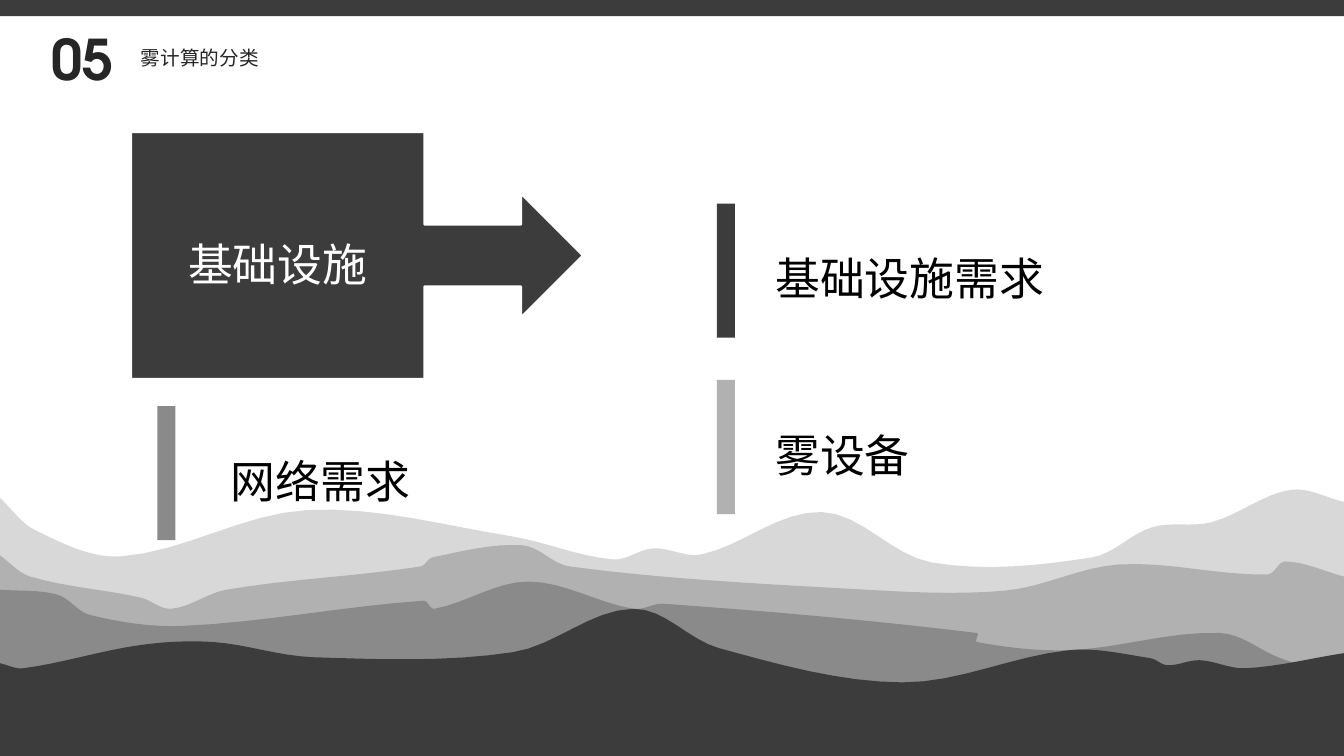
from math import dist

from pptx import Presentation
from pptx.dml.color import RGBColor
from pptx.enum.shapes import MSO_SHAPE as Preset
from pptx.enum.text import MSO_ANCHOR as Anchor, MSO_AUTO_SIZE as AutoSize, PP_ALIGN as Align
from pptx.oxml.ns import qn
from pptx.util import Inches, Pt

WIDTH, HEIGHT = 13.33, 7.5
CURVE_STEPS = 8
CJK_FONT = "Noto Sans CJK SC"
TITLE_FONT = "TeX Gyre Adventor"
COLORS = {
    "charcoal": "3C3C3C", "gray": "8A8A8A", "silver": "B1B1B1", "mist": "D8D8D8",
    "white": "FFFFFF", "black": "000000", "title": "262626",
}
RIDGES = {
    "mist": [
        (0, 4.94), (0.35, 5.26), (1.2, 5.52), (3.05, 5.06), (5.07, 5.32), (6.08, 5.55),
        (6.48, 5.44), (6.96, 5.5), (8.15, 5.08), (9.24, 5.58), (10.83, 5.53),
        (11.43, 5.23), (12.02, 5.18), (12.8, 4.86), (WIDTH, 4.98),
    ],
    "silver": [
        (0, 5.51), (0.3, 5.72), (1.4, 5.93), (1.7, 6.04), (2.25, 5.85), (4.17, 5.62),
        (4.29, 5.53), (5.18, 5.41), (5.65, 5.62), (8.4, 5.84), (9.97, 5.86),
        (11.1, 5.6), (12.57, 5.7), (12.75, 5.57), (WIDTH, 5.72),
    ],
    "gray": [
        (0, 5.85), (0.57, 5.9), (0.89, 6.1), (1.81, 6.21), (4.2, 5.96), (4.31, 6.04),
        (5.24, 5.77), (6.28, 6.04), (6.58, 5.99), (9.69, 6.28), (9.69, 6.37),
        (10.61, 6.45), (12.1, 6.28), (12.7, 6.53), (WIDTH, 6.73),
    ],
    "charcoal": [
        (0, 6.58), (0.23, 6.63), (1.39, 6.4), (2.12, 6.37), (3.1, 6.52), (5.09, 6.47),
        (6.28, 6.04), (7.13, 6.43), (8.95, 6.77), (10.61, 6.45), (11.41, 6.53),
        (11.58, 6.6), (11.9, 6.55), (12.35, 6.63), (WIDTH, 6.48),
    ],
}


def rgb(color):
    return RGBColor.from_string(COLORS[color])


def smooth(knots):
    padded = [knots[0], *knots, knots[-1]]
    curve = [knots[0]]
    for before, start, end, after in zip(padded, padded[1:], padded[2:], padded[3:]):
        reach = dist(start, end) / 3
        leave = reach / dist(before, end)
        arrive = reach / dist(start, after)
        first = [s + (e - b) * leave for b, s, e in zip(before, start, end)]
        second = [e - (a - s) * arrive for s, e, a in zip(start, end, after)]
        for step in range(1, CURVE_STEPS + 1):
            t = step / CURVE_STEPS
            u = 1 - t
            curve.append(tuple(
                u**3 * s + 3 * u * u * t * f + 3 * u * t * t * g + t**3 * e
                for s, f, g, e in zip(start, first, second, end)
            ))
    return curve


def paint(shape, color):
    shape.shadow.inherit = False
    shape.fill.solid()
    shape.fill.fore_color.rgb = rgb(color)
    shape.line.fill.background()


def add_ridge(slide, color, knots):
    outline = smooth(knots) + [(WIDTH, HEIGHT), (0, HEIGHT)]
    points = [(Inches(x), Inches(y)) for x, y in outline]
    builder = slide.shapes.build_freeform(*points[0])
    builder.add_line_segments(points[1:], close=True)
    paint(builder.convert_to_shape(), color)


def add_block(slide, preset, box, color):
    shape = slide.shapes.add_shape(preset, *map(Inches, box))
    paint(shape, color)
    return shape


def write(shape, text, size, color, font=CJK_FONT, spacing=1.3, bold=False, align=Align.LEFT):
    paragraph = shape.text_frame.paragraphs[0]
    paragraph.alignment = align
    paragraph.line_spacing = spacing
    run = paragraph.add_run()
    run.text = text
    run.font.size = Pt(size)
    run.font.bold = bold
    run.font.color.rgb = rgb(color)
    run.font.name = font
    east_asian = run.font._element.makeelement(qn("a:ea"), {"typeface": CJK_FONT})
    run.font._element.append(east_asian)


def add_text(slide, box, text, size, color, anchor=Anchor.TOP, **style):
    shape = slide.shapes.add_textbox(*map(Inches, box))
    shape.text_frame.word_wrap = True
    shape.text_frame.vertical_anchor = anchor
    write(shape, text, size, color, **style)
    return shape


def add_item(slide, bar_left, top, text_left, text, color):
    add_block(slide, Preset.RECTANGLE, (bar_left, top, 0.18, 1.33), color)
    label = add_text(slide, (text_left, top + 0.26, 3.58, 0.8), text, 32, "black")
    label.text_frame.auto_size = AutoSize.SHAPE_TO_FIT_TEXT


def add_callout(slide, box, text):
    callout = add_block(slide, Preset.RIGHT_ARROW_CALLOUT, box, "charcoal")
    callout.line.color.rgb = rgb("white")
    callout.line.width = Pt(1.5)
    callout.text_frame.vertical_anchor = Anchor.MIDDLE
    write(callout, text, 32, "white", align=Align.CENTER)


def main():
    presentation = Presentation()
    presentation.slide_width = Inches(WIDTH)
    presentation.slide_height = Inches(HEIGHT)
    slide = presentation.slides.add_slide(presentation.slide_layouts[6])

    for color, knots in RIDGES.items():
        add_ridge(slide, color, knots)
    add_block(slide, Preset.RECTANGLE, (0, 0, WIDTH, 0.16), "charcoal")

    add_item(slide, 7.11, 2.02, 7.59, "基础设施需求", "charcoal")
    add_item(slide, 1.56, 4.03, 2.19, "网络需求", "gray")
    add_item(slide, 7.11, 3.77, 7.59, "雾设备", "silver")
    add_callout(slide, (1.3, 1.31, 4.48, 2.45), "基础设施")

    heading = {"font": TITLE_FONT, "spacing": 0.9}
    add_text(slide, (0.41, 0.27, 0.86, 0.64), "05", 40, "title", bold=True, **heading)
    add_text(slide, (1.3, 0.4, 2, 0.37), "雾计算的分类", 14, "title", Anchor.MIDDLE, **heading)

    presentation.save("out.pptx")


if __name__ == "__main__":
    main()
